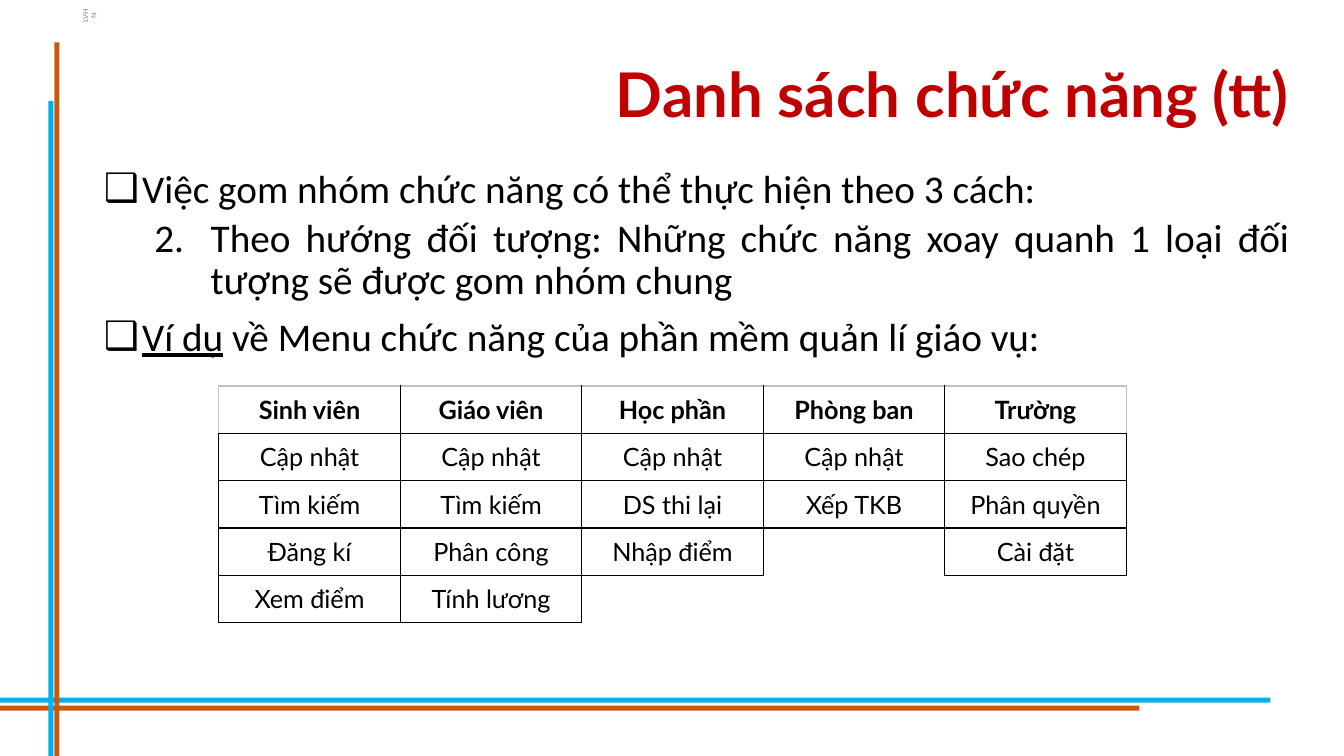
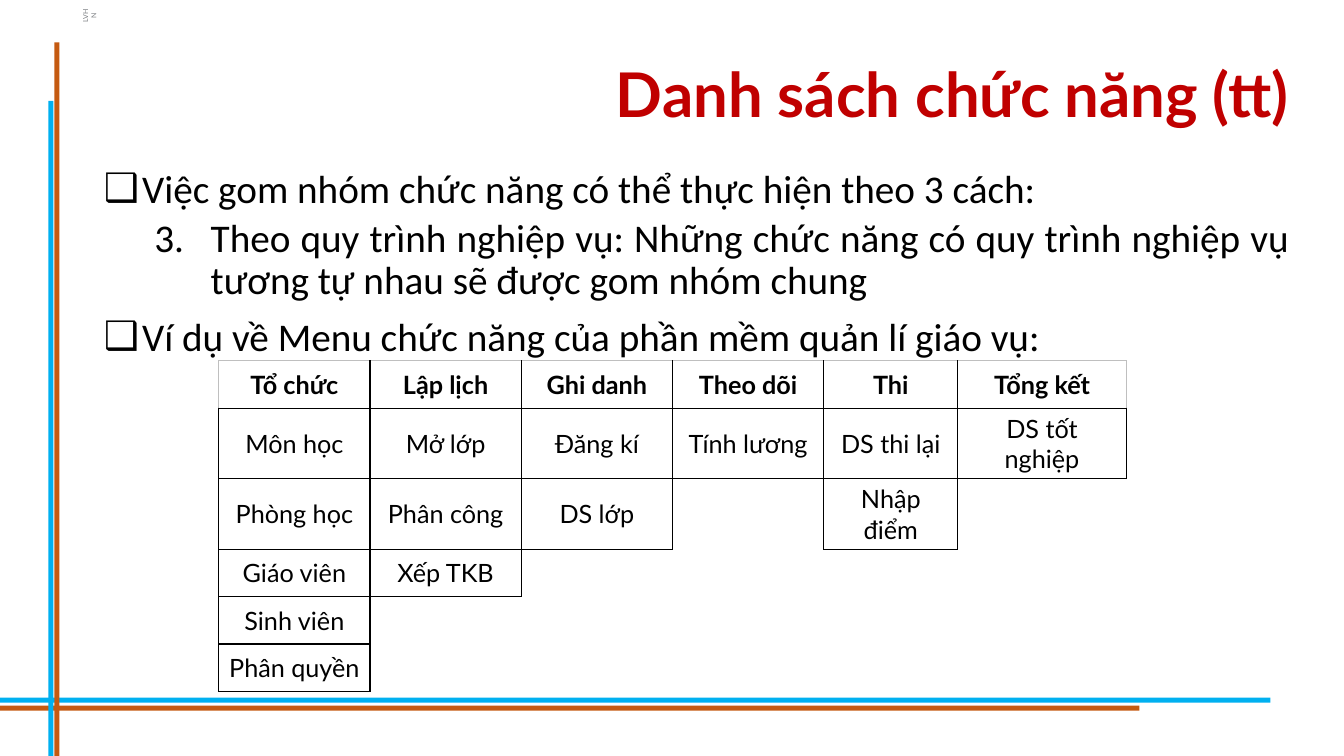
from lxml import etree
from pptx import Presentation
from pptx.dml.color import RGBColor
from pptx.enum.shapes import MSO_SHAPE
from pptx.enum.text import MSO_ANCHOR, MSO_AUTO_SIZE, PP_ALIGN
from pptx.oxml.ns import qn
from pptx.util import Pt

RECT = MSO_SHAPE.RECTANGLE
MIDDLE, TOP = MSO_ANCHOR.MIDDLE, MSO_ANCHOR.TOP
NO_FIT = MSO_AUTO_SIZE.NONE
CENTER, RIGHT, JUSTIFY = PP_ALIGN.CENTER, PP_ALIGN.RIGHT, PP_ALIGN.JUSTIFY

PX = 9144
BLUE, ORANGE, RED = "00B0F0", "C55A11", "C00000"
BLACK, GRAY, PALE = "000000", "7B7E82", "BFBFBF"
HEADING, BODY = "Lato", "Calibri"

TITLE = "Danh sách chức năng (tt)"
INTRO = "Việc gom nhóm chức năng có thể thực hiện theo 3 cách:"
EXAMPLE = ("Ví dụ", " về Menu chức năng của phần mềm quản lí giáo vụ:")
BANDS = [
    (0, 692, 1260, 5, BLUE),
    (0, 700, 1130, 5, ORANGE),
    (48, 100, 5, 650, BLUE),
    (54, 42, 5, 708, ORANGE),
]

PAGES = [
    {
        "number": 2,
        "method": "Theo hướng đối tượng: Những chức năng xoay quanh 1 loại đối tượng sẽ được gom nhóm chung",
        "underline": True,
        "top": 383,
        "widths": [180] * 5,
        "heights": [47] * 5,
        "menus": [
            ["Sinh viên", "Cập nhật", "Tìm kiếm", "Đăng kí", "Xem điểm"],
            ["Giáo viên", "Cập nhật", "Tìm kiếm", "Phân công", "Tính lương"],
            ["Học phần", "Cập nhật", "DS thi lại", "Nhập điểm"],
            ["Phòng ban", "Cập nhật", "Xếp TKB"],
            ["Trường", "Sao chép", "Phân quyền", "Cài đặt"],
        ],
    },
    {
        "number": 3,
        "method": "Theo quy trình nghiệp vụ: Những chức năng có quy trình nghiệp vụ tương tự nhau sẽ được gom nhóm chung",
        "underline": False,
        "top": 358,
        "widths": [150] * 4 + [133, 167],
        "heights": [47, 70, 70, 47, 47, 47],
        "menus": [
            ["Tổ chức", "Môn học", "Phòng học", "Giáo viên", "Sinh viên", "Phân quyền"],
            ["Lập lịch", "Mở lớp", "Phân công", "Xếp TKB"],
            ["Ghi danh", "Đăng kí", "DS lớp"],
            ["Theo dõi", "Tính lương"],
            ["Thi", "DS thi lại", "Nhập điểm"],
            ["Tổng kết", "DS tốt nghiệp"],
        ],
    },
]


def rgb(color):
    return RGBColor.from_string(color)


def add_text(p, text, size=28, font=BODY, color=BLACK, bold=False, underline=False, align=JUSTIFY):
    p.alignment = align
    r = p.add_run()
    r.text = text
    r.font.size = Pt(size)
    r.font.name = font
    r.font.color.rgb = rgb(color)
    r.font.bold = bold
    r.font.underline = underline


prs = Presentation()
prs.slide_width, prs.slide_height = 1333 * PX, 750 * PX
layout = prs.slide_layouts[1]
for ph, box in zip(layout.placeholders, [(92, 24, 1197, 145), (93, 163, 1196, 512)]):
    ph.left, ph.top, ph.width, ph.height = [v * PX for v in box]

slides = [prs.slides.add_slide(layout) for page in PAGES]

shared = []
tag = slides[0].shapes.add_textbox(66 * PX, 6 * PX, 38 * PX, 19 * PX)
tag.rotation = 270
tag.text_frame.word_wrap = True
add_text(tag.text_frame.paragraphs[0], "LVHN", size=5, font=HEADING, color=GRAY, align=CENTER)
shared.append(tag)
for x, y, w, h, color in BANDS:
    sp = slides[0].shapes.add_shape(RECT, x * PX, y * PX, w * PX, h * PX)
    sp.shadow.inherit = False
    sp.fill.solid()
    sp.fill.fore_color.rgb = rgb(color)
    sp.line.fill.background()
    shared.append(sp)
for i, sp in enumerate(shared):
    layout.shapes.element.insert(2 + i, sp.element)

for s, page in zip(slides, PAGES):
    title, body = s.placeholders
    for ph, anchor in ((title, MIDDLE), (body, TOP)):
        ph.text_frame.vertical_anchor = anchor
        ph.text_frame.auto_size = NO_FIT
    p = title.text_frame.paragraphs[0]
    p.line_spacing = 0.9
    add_text(p, TITLE, size=44, font=HEADING, color=RED, bold=True, align=RIGHT)

    tf = body.text_frame
    for i, runs in enumerate([(INTRO,), (page["method"],), EXAMPLE]):
        p = tf.add_paragraph() if i else tf.paragraphs[0]
        numbered = i == 1
        p.level = int(numbered)
        p.line_spacing = 0.9
        p.space_before = Pt(5 if numbered else 10)
        for text in runs:
            add_text(p, text, underline=page["underline"] and text == EXAMPLE[0])
        pPr = p._p.get_or_add_pPr()
        margin, hang = (106, 56) if numbered else (38, 38)
        pPr.set("marL", str(margin * PX))
        pPr.set("indent", str(-hang * PX))
        if numbered:
            bullet = etree.SubElement(pPr, qn("a:buAutoNum"), type="arabicPeriod")
            bullet.set("startAt", str(page["number"]))
        else:
            etree.SubElement(pPr, qn("a:buChar"), char="❑")

    menus, widths, heights = page["menus"], page["widths"], page["heights"]
    n_rows, n_cols = len(heights), len(widths)
    table = s.shapes.add_table(
        n_rows, n_cols, 217 * PX, page["top"] * PX, sum(widths) * PX, sum(heights) * PX
    ).table
    table.first_row = table.horz_banding = False
    for col, w in zip(table.columns, widths):
        col.width = w * PX
    for row, h in zip(table.rows, heights):
        row.height = h * PX
    filled = {(i, j) for j, menu in enumerate(menus) for i in range(len(menu))}
    for i in range(n_rows):
        for j in range(n_cols):
            cell = table.cell(i, j)
            cell.vertical_anchor = MIDDLE
            if (i, j) in filled:
                add_text(cell.text_frame.paragraphs[0], menus[j][i], size=18, font=HEADING,
                         bold=i == 0, align=CENTER)
            tcPr = cell._tc.get_or_add_tcPr()
            for side, di, dj in (("L", 0, -1), ("R", 0, 1), ("T", -1, 0), ("B", 1, 0)):
                ln = etree.SubElement(tcPr, qn("a:ln" + side), w=str(Pt(1)))
                beside = (i + di, j + dj)
                if not filled & {(i, j), beside}:
                    etree.SubElement(ln, qn("a:noFill"))
                    continue
                outer = i == 0 and (beside[0] < 0 or not 0 <= beside[1] < n_cols)
                fill = etree.SubElement(ln, qn("a:solidFill"))
                etree.SubElement(fill, qn("a:srgbClr"), val=PALE if outer else BLACK)
            cell.fill.background()

prs.save("out.pptx")
